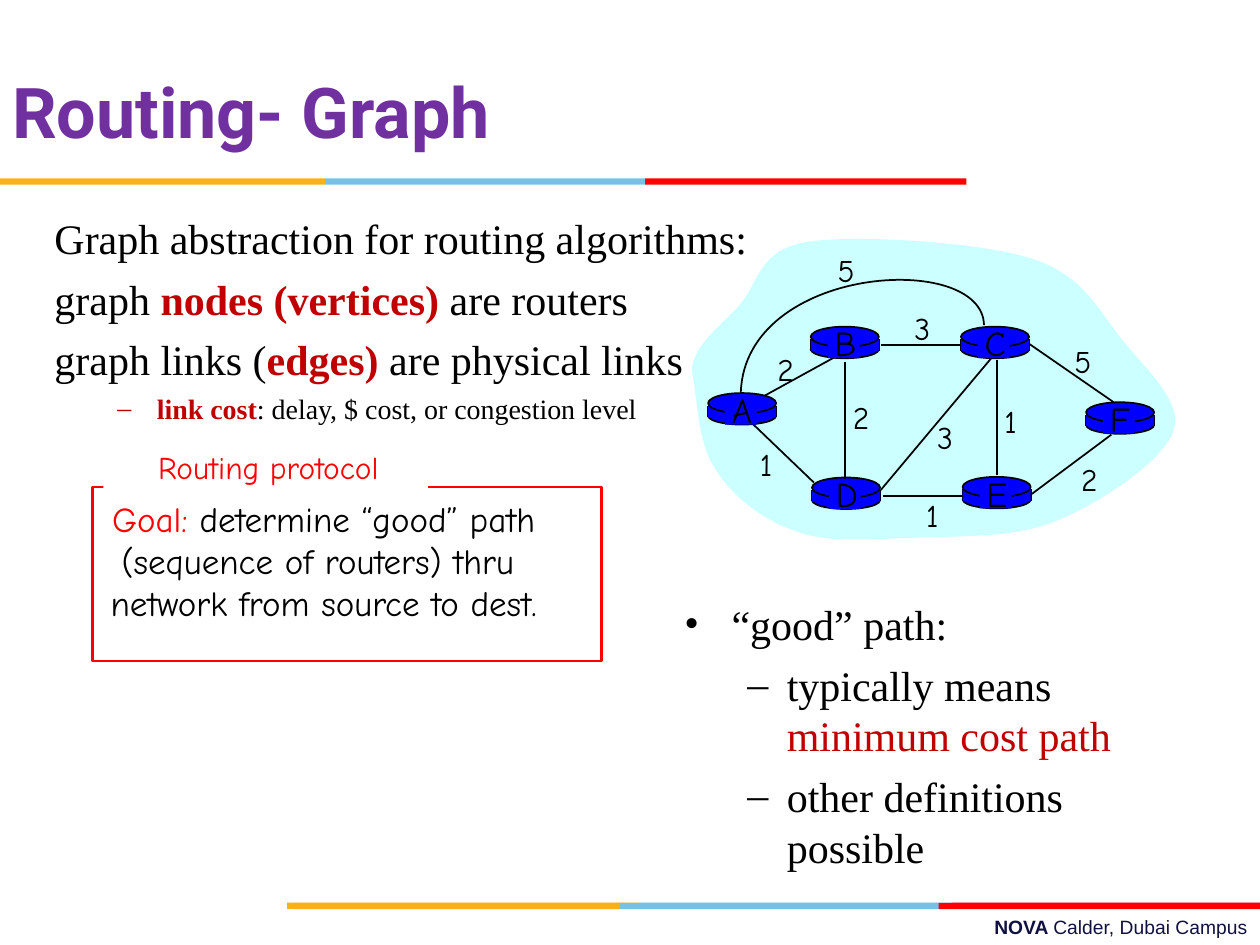
from dataclasses import dataclass
from typing import Optional

from lxml import etree
from pptx import Presentation
from pptx.dml.color import RGBColor
from pptx.enum import shapes, text
from pptx.oxml import ns
from pptx.util import Inches, Pt


@dataclass(frozen=True)
class Theme:
    black: str = "000000"
    white: str = "FFFFFF"
    red: str = "FF0000"
    deep: str = "C00000"
    purple: str = "7030A0"
    navy: str = "101141"
    gold: str = "FCB017"
    sky: str = "76C2E5"
    blue: str = "0000FF"
    cloud: str = "CCFFFF"
    crimson: str = "E31C24"
    serif: str = "Times New Roman"
    comic: str = "Comic Neue"
    head: str = "Roboto"
    sans: str = "Arial"
    title: float = 40
    body: float = 24
    name: float = 20
    cost: float = 18
    sub: float = 16
    foot: float = 11
    thin: float = 0.99


@dataclass(frozen=True)
class Run:
    words: str
    color: str = "000000"
    bold: bool = False


@dataclass(frozen=True)
class Para:
    runs: tuple[Run, ...]
    size: Optional[float] = None
    margin: float = 0
    hang: float = 0
    before: float = 0
    mark: str = ""
    tint: str = "000000"


@dataclass(frozen=True)
class Router:
    name: str
    col: float
    row: float


@dataclass(frozen=True)
class Link:
    start: tuple[float, float]
    end: tuple[float, float]
    cost: str
    spot: tuple[float, float]


Box = tuple[float, float, float, float]
Point = tuple[float, float]
T = Theme()
KIND = shapes.MSO_SHAPE
ALIGN = text.PP_ALIGN

deck = Presentation()
deck.slide_width, deck.slide_height = Inches(10), Inches(7.5)
slide = deck.slides.add_slide(deck.slide_layouts[6])
CELL = deck.slide_width // 100  # grid of 100 columns by 75 rows


def grid(*cells: float) -> list[int]:
    return [round(c * CELL) for c in cells]


def paint(item, fill: str = "", line: str = "", width: float = T.thin) -> None:
    item.shadow.inherit = False
    if fill:
        item.fill.solid()
        item.fill.fore_color.rgb = RGBColor.from_string(fill)
    else:
        item.fill.background()
    if line:
        item.line.color.rgb = RGBColor.from_string(line)
        item.line.width = Pt(width)
    else:
        item.line.fill.background()


def draw(kind, box: Box, **look) -> None:
    paint(slide.shapes.add_shape(kind, *grid(*box)), **look)


def wire(start: Point, end: Point) -> None:
    item = slide.shapes.add_connector(shapes.MSO_CONNECTOR.STRAIGHT, *grid(*start, *end))
    item.line.color.rgb = RGBColor.from_string(T.black)
    item.line.width = Pt(T.thin)
    etree.SubElement(item._element.spPr, ns.qn("a:effectLst"))


def curve(start: Point, knots: list[Point], close: bool, **look) -> None:
    pen = slide.shapes.build_freeform(*grid(*start))
    pen.add_line_segments([grid(*knot) for knot in knots], close=close)
    item = pen.convert_to_shape()
    # Each three straight steps become one Bezier step
    steps = list(item._element.iter(ns.qn("a:lnTo")))
    for i in range(0, len(knots), 3):
        bend = etree.Element(ns.qn("a:cubicBezTo"))
        steps[i].addprevious(bend)
        for step in steps[i:i + 3]:
            bend.append(step[0])
            step.getparent().remove(step)
    paint(item, **look)


def write(paras: list[Para], box: Box, *, font: str, size: float,
          align=ALIGN.LEFT, wrap: bool = True, anchor=text.MSO_ANCHOR.TOP) -> None:
    frame = slide.shapes.add_textbox(*grid(*box)).text_frame
    frame.word_wrap, frame.vertical_anchor = wrap, anchor
    for i, para in enumerate(paras):
        line = frame.paragraphs[0] if i == 0 else frame.add_paragraph()
        line.alignment, line.space_before = align, Pt(para.before)
        prop = line._p.get_or_add_pPr()
        left, hang = grid(para.margin, para.hang)
        prop.set("marL", str(left))
        prop.set("indent", str(-hang))
        if para.mark:
            tint = etree.SubElement(prop, ns.qn("a:buClr"))
            etree.SubElement(tint, ns.qn("a:srgbClr"), val=para.tint)
            etree.SubElement(prop, ns.qn("a:buFont"), typeface=font)
            etree.SubElement(prop, ns.qn("a:buChar"), char=para.mark)
        for run in para.runs:
            part = line.add_run()
            part.text = run.words
            part.font.name, part.font.size = font, Pt(para.size or size)
            part.font.bold = run.bold
            part.font.color.rgb = RGBColor.from_string(run.color)


def label(words: str, mid: Point, size: float, color: str = T.black, wide: float = 3.4) -> None:
    write([Para((Run(words, color),))], (mid[0] - wide / 2, mid[1] - size / 9, wide, size / 4.5),
          font=T.comic, size=size, align=ALIGN.CENTER, wrap=False)


def strip(top: float, stops: list[float], tints: list[str]) -> None:
    for left, right, tint in zip(stops, stops[1:], tints):
        draw(KIND.RECTANGLE, (left, top, right - left, 0.5), fill=tint)


def disc(r: Router) -> None:
    wide, neck = 5.4, r.row + 1
    draw(KIND.OVAL, (r.col, r.row + 1.1, wide, 1.4), fill=T.blue, line=T.black)
    for side in (r.col, r.col + wide):
        wire((side, neck), (side, neck + 0.9))
    draw(KIND.RECTANGLE, (r.col, neck, wide, 0.9), fill=T.blue)
    draw(KIND.OVAL, (r.col, r.row, wide, 1.6), fill=T.blue, line=T.black)


def tag(r: Router) -> None:
    draw(KIND.RECTANGLE, (r.col + 1.35, r.row + 0.2, 2.5, 2.3), fill=T.blue)
    label(r.name, (r.col + 2.6, r.row + 1.35), T.name)


# Footer and colour strips
write([Para((Run("NOVA ", T.navy, True), Run("Calder, Dubai Campus", T.navy)))],
      (35.8, 72.15, 64.2, 2.9), font=T.sans, size=T.foot, align=ALIGN.RIGHT)
strip(71.64, [22.8, 50.8, 75.6, 100], [T.gold, T.sky, T.crimson])
strip(71.66, [23.3, 49.2, 74.5, 100], [T.gold, T.sky, T.red])
strip(14.16, [0, 25.8, 51.2, 76.7], [T.gold, T.sky, T.red])

# Title and body
write([Para((Run("Routing- Graph", T.purple, True),))], (0, 2.5, 85, 12.5),
      font=T.head, size=T.title, anchor=text.MSO_ANCHOR.MIDDLE)
lead = dict(margin=3.75, hang=3.75, before=6)
write([
    Para((Run("Graph abstraction for routing algorithms:"),), **lead),
    Para((Run("graph "), Run("nodes (vertices)", T.deep, True), Run(" are routers")), **lead),
    Para((Run("graph links ("), Run("edges)", T.deep, True), Run(" are physical links")), **lead),
    Para((Run("link cost", T.deep, True), Run(": delay, $ cost, or congestion level")),
         T.sub, 8.13, 3.13, 4, "–", T.deep),
], (3.34, 16.34, 90, 49.5), font=T.serif, size=T.body)

# Goal box
write([Para((Run("Goal:", T.red), Run(" determine “good” path"))),
       Para((Run("(sequence of routers) thru "),)),
       Para((Run("network from source to dest."),))],
      (5.4, 39, 40.6, 11), font=T.comic, size=T.name, align=ALIGN.CENTER)
draw(KIND.RECTANGLE, (7.34, 38.66, 40.4, 13.8), line=T.red, width=1.5)
draw(KIND.RECTANGLE, (8.2, 35.7, 25.75, 3.9), fill=T.white)
label("Routing protocol", (21.3, 37.05), T.cost, T.red, 19.6)

# Network graph
routers = [Router("A", 56.2, 31.2), Router("D", 64.45, 37.9), Router("B", 64.35, 25.93),
           Router("C", 76.27, 25.93), Router("E", 76.4, 37.85), Router("F", 86.2, 31.93)]
links = [
    Link((60.7, 31.4), (66.7, 28.1), "2", (62.35, 29.3)),
    Link((67.05, 28.7), (67.05, 38), "2", (68.35, 33.1)),
    Link((64.6, 38.3), (59.8, 33.7), "1", (60.8, 36.8)),
    Link((69.9, 38.9), (78.7, 28.4), "3", (75, 34.7)),
    Link((76.4, 39.35), (70.1, 39.35), "1", (74, 40.85)),
    Link((79.1, 28.6), (79.1, 37.7), "1", (80.2, 33.4)),
    Link((81.9, 39.2), (88.2, 34.5), "2", (86.45, 38)),
    Link((88.5, 32), (81.7, 27.3), "5", (85.95, 28.65)),
    Link((76.3, 27.4), (69.9, 27.4), "3", (73.2, 26)),
]
curve((54.9, 29.4), [
    (55, 27.4), (57.2, 25.9), (58.7, 24.2), (60.2, 22.5), (60.2, 19.8), (64.1, 19.2),
    (67.9, 18.6), (77.7, 19.2), (81.8, 20.5), (86, 21.8), (87.2, 24.7), (89.1, 27),
    (90.9, 29.3), (94, 31.9), (93.1, 34.3), (92.2, 36.7), (87.2, 40), (83.7, 41.4),
    (80.2, 42.8), (75.6, 42.5), (72.1, 42.7), (68.7, 42.8), (65.5, 43.1), (63, 42.1),
    (60.4, 41.2), (58, 39.3), (56.7, 37.1), (55.3, 35), (55.3, 31), (54.9, 29.4),
], True, fill=T.cloud)
for router in routers:
    disc(router)
for link in links:
    wire(link.start, link.end)
curve((78.1, 25.8), [(78, 19.9), (59.2, 21), (58.8, 31.1)], False, line=T.black)
for router in routers:
    tag(router)
for link in links:
    label(link.cost, link.spot, T.cost)
label("5", (67.15, 21.4), T.cost)

# Meaning of a good path
dash = dict(margin=8.13, hang=3.13, before=6, mark="–")
write([Para((Run("“good” path:"),), mark="•", **lead),
       Para((Run("typically means "), Run("minimum cost path", T.deep)), **dash),
       Para((Run("other definitions possible"),), **dash)],
      (53.33, 47, 43.3, 22.2), font=T.serif, size=T.body)

deck.save("out.pptx")
